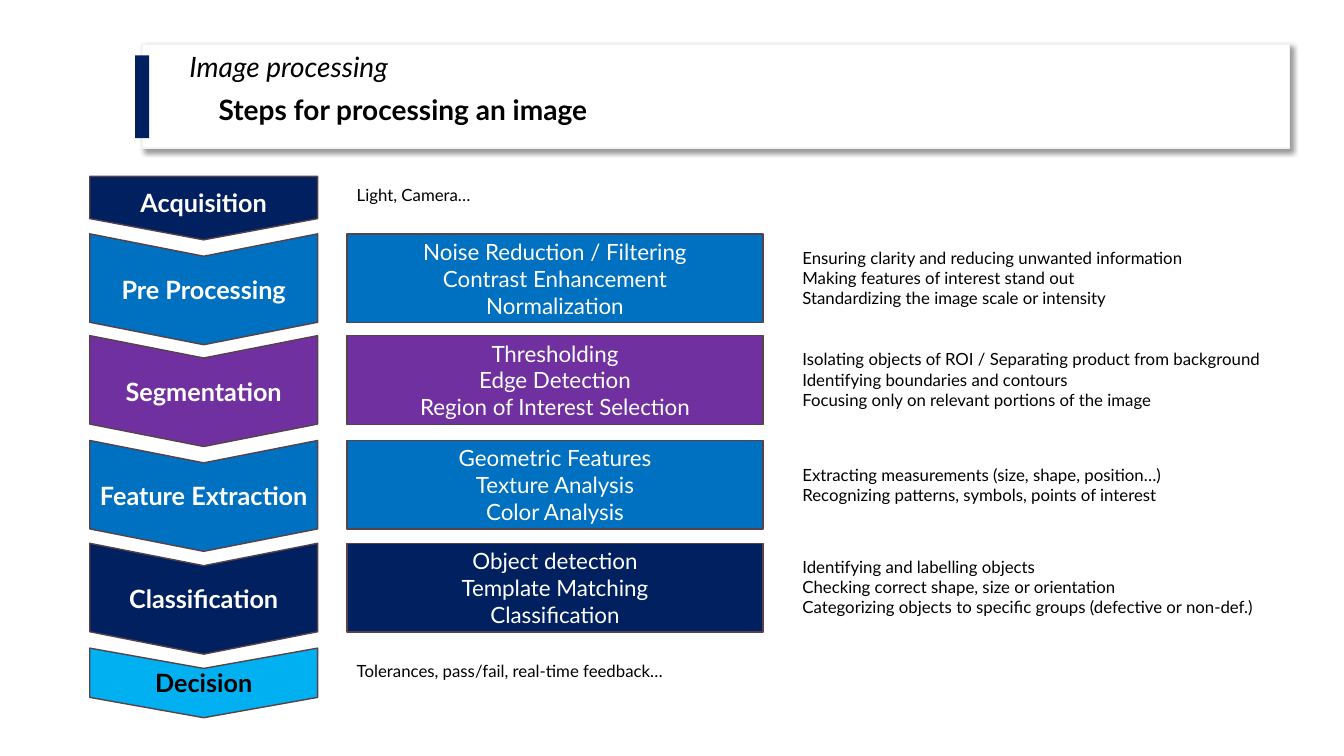
from lxml import etree
from pptx import Presentation
from pptx.dml.color import RGBColor
from pptx.enum.shapes import MSO_SHAPE
from pptx.enum.text import MSO_ANCHOR, MSO_AUTO_SIZE, PP_ALIGN
from pptx.oxml.ns import qn
from pptx.util import Inches, Pt

RECTANGLE, CHEVRON, PENTAGON = MSO_SHAPE.RECTANGLE, MSO_SHAPE.CHEVRON, MSO_SHAPE.PENTAGON
TOP, MIDDLE = MSO_ANCHOR.TOP, MSO_ANCHOR.MIDDLE
LEFT, CENTER = PP_ALIGN.LEFT, PP_ALIGN.CENTER
GROW, FIXED = MSO_AUTO_SIZE.SHAPE_TO_FIT_TEXT, MSO_AUTO_SIZE.NONE

TOPIC = "Image processing"
HEADING = "Steps for processing an image"

STAGES = [
    {"name": "Acquisition", "color": "navy", "top": 1.75, "depth": 0.63,
     "outline": PENTAGON, "point": 0.334, "note_middle": 0.18,
     "methods": [], "notes": ["Light, Camera…"]},
    {"name": "Pre Processing", "color": "blue", "top": 2.32,
     "methods": ["Noise Reduction / Filtering", "Contrast Enhancement", "Normalization"],
     "notes": ["Ensuring clarity and reducing unwanted information",
               "Making features of interest stand out",
               "Standardizing the image scale or intensity"]},
    {"name": "Segmentation", "color": "purple", "top": 3.33,
     "methods": ["Thresholding", "Edge Detection", "Region of Interest Selection"],
     "notes": ["Isolating objects of ROI / Separating product from background",
               "Identifying boundaries and contours",
               "Focusing only on relevant portions of the image"]},
    {"name": "Feature Extraction", "color": "blue", "top": 4.37,
     "methods": ["Geometric Features", "Texture Analysis", "Color Analysis"],
     "notes": ["Extracting measurements (size, shape, position…)",
               "Recognizing patterns, symbols, points of interest"]},
    {"name": "Classification", "color": "navy", "top": 5.39,
     "methods": ["Object detection", "Template Matching", "Classification"],
     "notes": ["Identifying and labelling objects",
               "Checking correct shape, size or orientation",
               "Categorizing objects to specific groups (defective or non-def.)"]},
    {"name": "Decision", "color": "sky", "top": 6.43, "depth": 0.69,
     "point": 0.292, "note_middle": 0.23, "label_color": "black",
     "methods": [], "notes": ["Tolerances, pass/fail, real-time feedback…"]},
]
STAGE_DEFAULTS = {"depth": 1.1, "outline": CHEVRON, "point": 0.202,
                  "note_middle": 0.44, "label_color": "white"}

THEME = {
    "font": "Lato",
    "colors": {"navy": "002060", "blue": "0070C0", "purple": "7030A0", "sky": "00B0F0",
               "white": "FFFFFF", "black": "000000", "edge": "574249", "pale": "F2F2F2"},
    "sizes": {"title": 20, "stage": 18, "method": 16, "note": 12},
}

STAGE_LEFT, STAGE_WIDTH = 0.89, 2.26
METHOD_LEFT, METHOD_WIDTH, METHOD_HEIGHT = 3.44, 4.13, 0.88
NOTE_LEFT, NOTE_WIDTH = 7.86, 5.03
NOTE_HEIGHTS = {1: 0.3, 2: 0.5, 3: 0.71}


def color(name):
    return RGBColor.from_string(THEME["colors"][name])


def write(shape, lines, size, ink, align=LEFT, anchor=TOP, fit=FIXED, spacing=None, **style):
    frame = shape.text_frame
    for key, value in {"word_wrap": True, "vertical_anchor": anchor, "auto_size": fit}.items():
        setattr(frame, key, value)
    font_format = {"name": THEME["font"], "size": Pt(THEME["sizes"][size]), **style}
    for index, line in enumerate(lines):
        paragraph = frame.add_paragraph() if index else frame.paragraphs[0]
        paragraph.alignment = align
        paragraph.line_spacing = spacing
        run = paragraph.add_run()
        run.text = line
        for key, value in font_format.items():
            setattr(run.font, key, value)
        run.font.color.rgb = color(ink)


def add_block(slide, outline, place, fill, edge=None):
    block = slide.shapes.add_shape(outline, *map(Inches, place))
    block.shadow.inherit = False
    block.fill.solid()
    block.fill.fore_color.rgb = color(fill)
    if edge:
        block.line.color.rgb = color(edge)
        block.line.width = Pt(1)
    else:
        block.line.fill.background()
    return block


def add_text(slide, place, lines, size, **options):
    write(slide.shapes.add_textbox(*map(Inches, place)), lines, size, "black", **options)


def add_drop_shadow(block):
    effects = block._element.spPr.find(qn("a:effectLst"))
    shadow = etree.SubElement(effects, qn("a:outerShdw"), blurRad=str(Pt(4)), dist=str(Pt(3)),
                              dir="2700000", algn="tl", rotWithShape="0")
    tint = etree.SubElement(shadow, qn("a:srgbClr"), val=THEME["colors"]["black"])
    etree.SubElement(tint, qn("a:alpha"), val="40000")


def add_header(slide):
    banner = add_block(slide, RECTANGLE, (1.41, 0.44, 11.38, 1.03), "white", "pale")
    add_drop_shadow(banner)
    add_block(slide, RECTANGLE, (1.34, 0.55, 0.14, 0.82), "navy")
    add_text(slide, (1.78, 0.48, 9.15, 0.77), [TOPIC], "title", spacing=0.9, italic=True)
    add_text(slide, (2.07, 0.87, 6.87, 0.44), [HEADING], "title", fit=GROW, bold=True)


def add_stage(slide, stage):
    top, depth = stage["top"], stage["depth"]
    turn = (STAGE_WIDTH - depth) / 2
    place = (STAGE_LEFT + turn, top - turn, depth, STAGE_WIDTH)
    arrow = add_block(slide, stage["outline"], place, stage["color"], "edge")
    arrow.adjustments[0] = stage["point"]
    arrow.rotation = 90
    write(arrow, [stage["name"]], "stage", stage["label_color"], CENTER, MIDDLE, bold=True)
    arrow.text_frame._txBody.bodyPr.set("vert", "vert270")

    if stage["methods"]:
        place = (METHOD_LEFT, top, METHOD_WIDTH, METHOD_HEIGHT)
        methods = add_block(slide, RECTANGLE, place, stage["color"], "edge")
        write(methods, stage["methods"], "method", "white", CENTER, MIDDLE)

    note_left = NOTE_LEFT if stage["methods"] else METHOD_LEFT
    note_height = NOTE_HEIGHTS[len(stage["notes"])]
    note_top = top + stage["note_middle"] - note_height / 2
    add_text(slide, (note_left, note_top, NOTE_WIDTH, note_height), stage["notes"], "note", fit=GROW)


def main():
    deck = Presentation()
    deck.slide_width, deck.slide_height = Inches(13.33), Inches(7.5)
    slide = deck.slides.add_slide(deck.slide_layouts[6])
    add_header(slide)
    for stage in STAGES:
        add_stage(slide, {**STAGE_DEFAULTS, **stage})
    deck.save("out.pptx")


if __name__ == "__main__":
    main()
